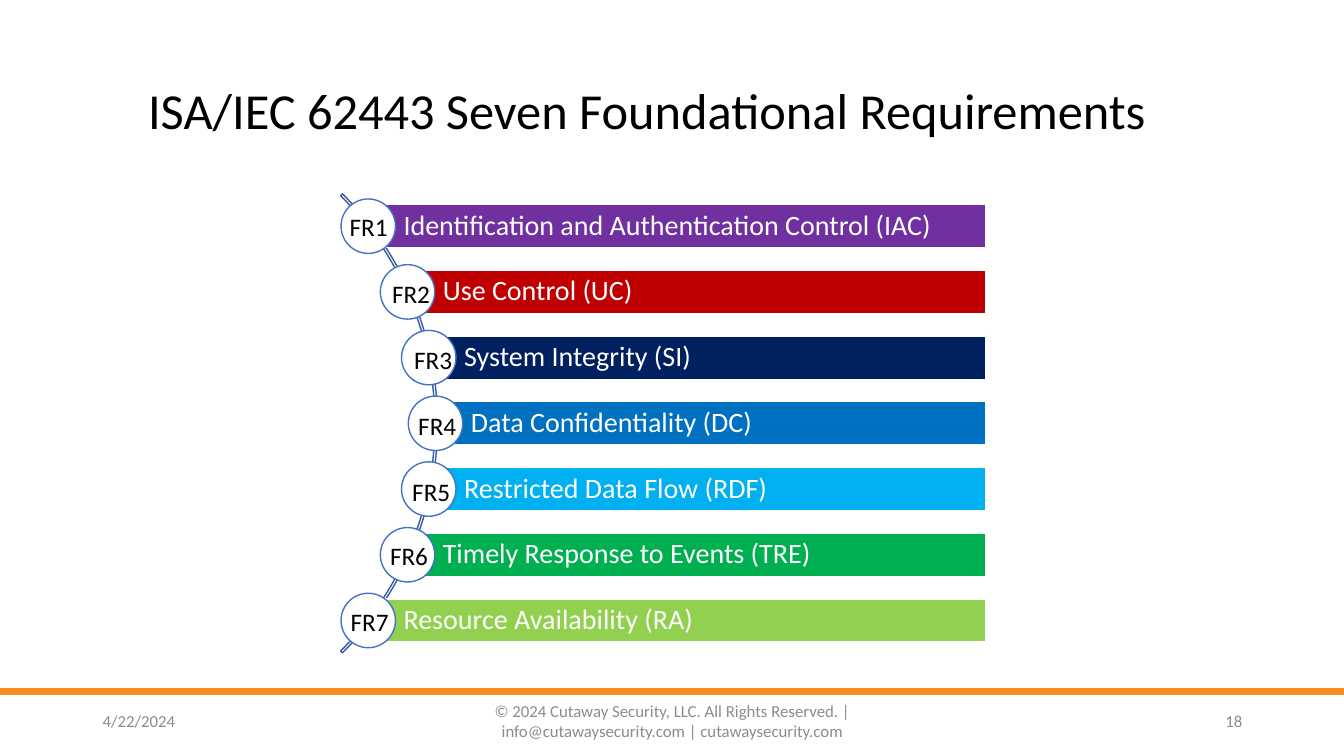
from math import sqrt

from lxml.etree import SubElement
from pptx import Presentation
from pptx.dml.color import RGBColor
from pptx.enum.shapes import MSO_CONNECTOR, MSO_SHAPE
from pptx.enum.text import MSO_ANCHOR, MSO_AUTO_SIZE, PP_ALIGN
from pptx.oxml.ns import qn
from pptx.util import Inches, Pt

WHITE = RGBColor(0xFF, 0xFF, 0xFF)
BLACK = RGBColor(0x00, 0x00, 0x00)
GREY = RGBColor(0x8C, 0x8C, 0x8C)
ORANGE = RGBColor(0xF7, 0x8F, 0x20)
ARC_BLUE = RGBColor(0x36, 0x5B, 0x9D)
RING_BLUE = RGBColor(0x44, 0x72, 0xC4)
PURPLE = RGBColor(0x70, 0x30, 0xA0)
RED = RGBColor(0xC0, 0x00, 0x00)
NAVY = RGBColor(0x00, 0x20, 0x60)
BLUE = RGBColor(0x00, 0x70, 0xC0)
SKY = RGBColor(0x00, 0xB0, 0xF0)
GREEN = RGBColor(0x00, 0xB0, 0x50)
LIME = RGBColor(0x92, 0xD0, 0x50)

TITLE = "ISA/IEC 62443 Seven Foundational Requirements"
# Name, bar colour, label left, label top, label width
REQUIREMENTS = [
    ("Identification and Authentication Control (IAC)", PURPLE, 3.37, 2.05, 0.63),
    ("Use Control (UC)", RED, 3.79, 2.71, 0.63),
    ("System Integrity (SI)", NAVY, 4.01, 3.37, 0.63),
    ("Data Confidentiality (DC)", BLUE, 4.05, 4.02, 0.63),
    ("Restricted Data Flow (RDF)", SKY, 3.99, 4.68, 0.71),
    ("Timely Response to Events (TRE)", GREEN, 3.77, 5.31, 0.74),
    ("Resource Availability (RA)", LIME, 3.38, 5.97, 0.63),
]
# Text, left, width, alignment
FOOTERS = [
    ("4/22/2024", 0.92, 3, PP_ALIGN.LEFT),
    ("© 2024 Cutaway Security, LLC. All Rights Reserved. | "
     "info@cutawaysecurity.com | cutawaysecurity.com", 4.42, 4.5, PP_ALIGN.CENTER),
    ("18", 9.42, 3, PP_ALIGN.RIGHT),
]

CENTER_X, CENTER_Y = 1.12, 4.2
ARC_SIZE = 6.44
RADIUS = 3.2
ROW_STEP = 0.652
BAR_RIGHT, BAR_HEIGHT = 9.78, 0.43
CIRCLE_SIZE = 0.54


def write(shape, text, size, color, align=PP_ALIGN.LEFT, anchor=MSO_ANCHOR.MIDDLE):
    frame = shape.text_frame
    frame.word_wrap = True
    frame.vertical_anchor = anchor
    frame.text = text
    paragraph = frame.paragraphs[0]
    paragraph.alignment = align
    font = paragraph.runs[0].font
    font.name, font.size, font.color.rgb = "Calibri", Pt(size), color
    return paragraph


def add_text(slide, box, text, size, color, **layout):
    textbox = slide.shapes.add_textbox(*map(Inches, box))
    return textbox, write(textbox, text, size, color, **layout)


def add_figure(slide, kind, box, fill, line):
    """Add a preset shape; a fill of None leaves it hollow."""
    shape = slide.shapes.add_shape(kind, *map(Inches, box))
    shape.shadow.inherit = False
    if fill is None:
        shape.fill.background()
    else:
        shape.fill.solid()
        shape.fill.fore_color.rgb = fill
    shape.line.color.rgb = line
    shape.line.width = Pt(1)
    return shape


def add_frame(slide):
    """Add the title, the rule above the footer and the footer texts."""
    rule = slide.shapes.add_connector(
        MSO_CONNECTOR.STRAIGHT, 0, Inches(6.86), Inches(13.33), Inches(6.86))
    rule.line.color.rgb = ORANGE
    rule.line.width = Pt(5)
    SubElement(rule.element.spPr, qn("a:effectLst"))
    _, heading = add_text(slide, (1.37, 0.4, 11.04, 1.45), TITLE, 36, BLACK)
    heading.line_spacing = 0.9
    for text, left, width, align in FOOTERS:
        add_text(slide, (left, 6.95, width, 0.4), text, 12, GREY, align=align)


def add_requirement(slide, index, name, color):
    """Add a bar that starts on the arc, with a circle over its left end."""
    offset = (index - (len(REQUIREMENTS) - 1) / 2) * ROW_STEP
    x = CENTER_X + sqrt(RADIUS ** 2 - offset ** 2)
    y = CENTER_Y + offset
    bar = add_figure(
        slide, MSO_SHAPE.RECTANGLE,
        (x, y - BAR_HEIGHT / 2, BAR_RIGHT - x, BAR_HEIGHT), color, WHITE)
    write(bar, name, 20, WHITE).line_spacing = 0.9
    frame = bar.text_frame
    frame.margin_left = Inches(0.35)
    frame.margin_top = frame.margin_right = frame.margin_bottom = Inches(0.06)
    add_figure(
        slide, MSO_SHAPE.OVAL,
        (x - CIRCLE_SIZE / 2, y - CIRCLE_SIZE / 2, CIRCLE_SIZE, CIRCLE_SIZE),
        WHITE, RING_BLUE)


def main():
    presentation = Presentation()
    presentation.slide_width = Inches(13.33)
    presentation.slide_height = Inches(7.5)
    slide = presentation.slides.add_slide(presentation.slide_layouts[6])
    add_frame(slide)

    arc = add_figure(
        slide, MSO_SHAPE.BLOCK_ARC,
        (CENTER_X - ARC_SIZE / 2, CENTER_Y - ARC_SIZE / 2, ARC_SIZE, ARC_SIZE),
        None, ARC_BLUE)
    # Start and end angles (315° and 45°), then thickness
    for position, value in enumerate((189, 27, 0.004)):
        arc.adjustments[position] = value

    for index, (name, color, *_) in enumerate(REQUIREMENTS):
        add_requirement(slide, index, name, color)
    for number, (_, _, left, top, width) in enumerate(REQUIREMENTS, 1):
        label, _ = add_text(slide, (left, top, width, 0.34), f"FR{number}",
                            18, BLACK, anchor=MSO_ANCHOR.TOP)
        label.text_frame.auto_size = MSO_AUTO_SIZE.SHAPE_TO_FIT_TEXT

    presentation.save("out.pptx")


if __name__ == "__main__":
    main()
